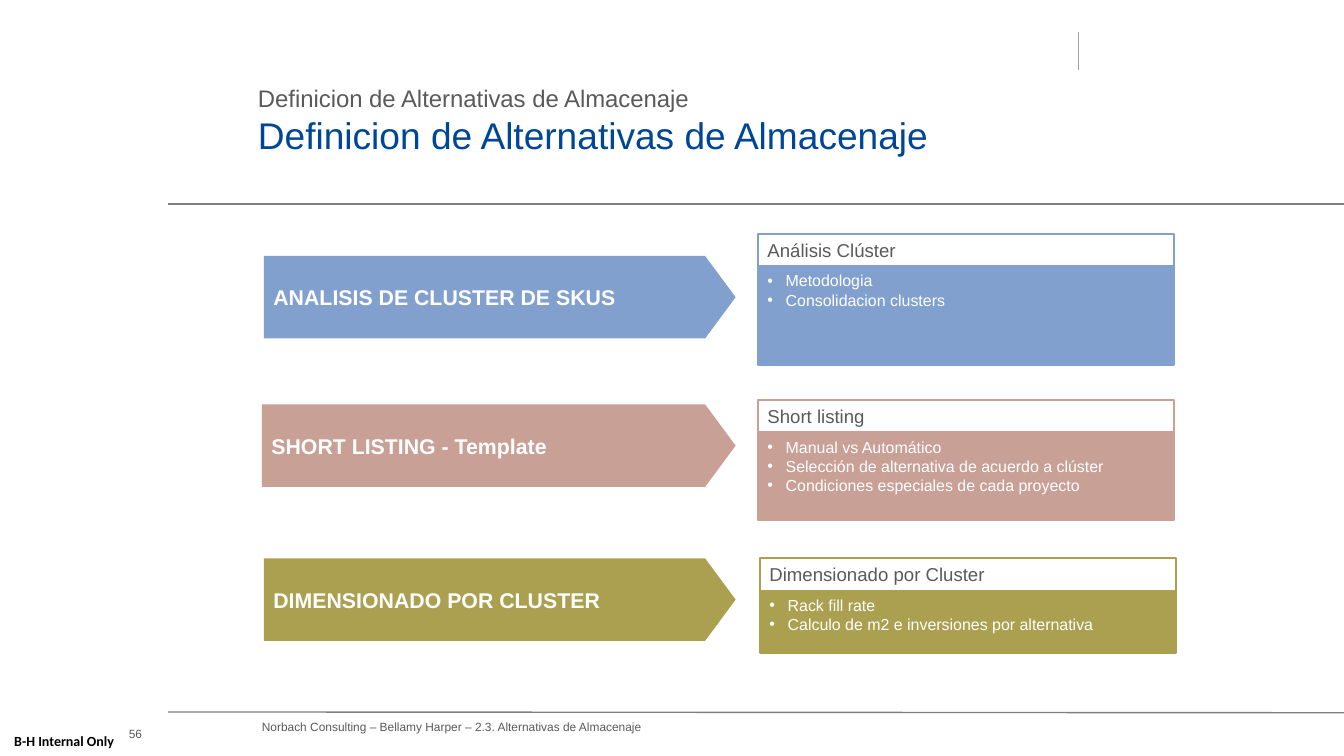
from lxml import etree
from pptx import Presentation
from pptx import util as u
from pptx.dml.color import RGBColor
from pptx.enum import shapes, text
from pptx.oxml import ns

COLORS = {
    "white": "FFFFFF",
    "black": "000000",
    "gray": "5A5A5A",
    "rule": "7F7F7F",
    "tick": "A0A0A0",
    "title": "004696",
    "blue": "82A0CD",
    "rose": "C8A096",
    "olive": "AAA050",
}

STAGES = [
    {"label": "ANALISIS DE CLUSTER DE SKUS", "color": "blue",
     "arrow": (6.65, 6.45), "card": (19.1, 5.89), "body": 2.49,
     "heading": "Análisis Clúster",
     "points": ["Metodologia", "Consolidacion clusters"]},
    {"label": "SHORT LISTING - Template", "color": "rose",
     "arrow": (6.6, 10.19), "card": (19.1, 10.08), "body": 2.21,
     "heading": "Short listing",
     "points": ["Manual vs Automático",
                "Selección de alternativa de acuerdo a clúster",
                "Condiciones especiales de cada proyecto"]},
    {"label": "DIMENSIONADO POR CLUSTER", "color": "olive",
     "arrow": (6.65, 14.07), "card": (19.15, 14.07), "body": 1.57,
     "heading": "Dimensionado por Cluster",
     "points": ["Rack fill rate",
                "Calculo de m2 e inversiones por alternativa"]},
]

ARROW_RIGHT = 18.54
ARROW_HEIGHT = 2.08
CARD_WIDTH = 10.49
HEADING_HEIGHT = 0.82


def rgb(name):
    return RGBColor.from_string(COLORS[name])


def lengths(*values):
    return [u.Cm(value) for value in values]


def set_frame(frame, anchor, side=0, top=0):
    frame.word_wrap = True
    frame.auto_size = text.MSO_AUTO_SIZE.NONE
    frame.vertical_anchor = anchor
    frame.margin_left = frame.margin_right = u.Cm(side)
    frame.margin_top = frame.margin_bottom = u.Cm(top)


def style(para, size, color, bold=False, font="Arial", align=text.PP_ALIGN.LEFT):
    para.alignment = align
    for span in para.runs:
        span.font.name = font
        span.font.size = u.Pt(size)
        span.font.bold = bold
        span.font.color.rgb = rgb(color)


def add_bullet(para):
    para.level = 1
    props = para._p.get_or_add_pPr()
    props.set("marL", str(u.Cm(0.46)))
    props.set("indent", str(-u.Cm(0.46)))
    color = etree.SubElement(props, ns.qn("a:buClr"))
    etree.SubElement(color, ns.qn("a:srgbClr"), val=COLORS["white"])
    etree.SubElement(props, ns.qn("a:buFont"), typeface="Arial")
    etree.SubElement(props, ns.qn("a:buChar"), char="•")


def add_title(page, lines):
    title = page.shapes.title
    title.left, title.top, title.width, title.height = lengths(6.5, 2.11, 23.06, 2.29)
    set_frame(title.text_frame, text.MSO_ANCHOR.TOP)
    title.text_frame.text = "\n".join(words for words, _, _ in lines)
    for para, (_, size, color) in zip(title.text_frame.paragraphs, lines):
        style(para, size, color)


def add_label(page, place, words, size, color, anchor, **look):
    box = page.shapes.add_textbox(*lengths(*place))
    set_frame(box.text_frame, anchor)
    box.text_frame.text = words
    style(box.text_frame.paragraphs[0], size, color, **look)


def add_rule(page, start, end, color):
    rule = page.shapes.add_connector(
        shapes.MSO_CONNECTOR.STRAIGHT, *lengths(*start, *end))
    rule.line.color.rgb = rgb(color)
    rule.line.width = u.Pt(1)
    etree.SubElement(rule._element.spPr, ns.qn("a:effectLst"))


def add_block(page, kind, place, fill, anchor, words, line=None):
    block = page.shapes.add_shape(kind, *lengths(*place))
    block.shadow.inherit = False
    block.fill.solid()
    block.fill.fore_color.rgb = rgb(fill)
    if line:
        block.line.color.rgb = rgb(line)
        block.line.width = u.Pt(1.5)
    else:
        block.line.fill.background()
    set_frame(block.text_frame, anchor, 0.24, 0.12)
    block.text_frame.text = words
    return block


def add_arrow(page, stage):
    left, top = stage["arrow"]
    arrow = add_block(
        page, shapes.MSO_SHAPE.PENTAGON,
        (left, top, ARROW_RIGHT - left, ARROW_HEIGHT),
        stage["color"], text.MSO_ANCHOR.MIDDLE, stage["label"])
    arrow.adjustments[0] = 0.37
    style(arrow.text_frame.paragraphs[0], 15.2, "white", bold=True)


def add_card(page, stage):
    left, top = stage["card"]
    color = stage["color"]
    body = add_block(
        page, shapes.MSO_SHAPE.RECTANGLE,
        (left, top + HEADING_HEIGHT, CARD_WIDTH, stage["body"]),
        color, text.MSO_ANCHOR.TOP, "\n".join(stage["points"]), color)
    for para in body.text_frame.paragraphs:
        add_bullet(para)
        style(para, 11.4, "white")
    heading = add_block(
        page, shapes.MSO_SHAPE.RECTANGLE,
        (left, top, CARD_WIDTH, HEADING_HEIGHT),
        "white", text.MSO_ANCHOR.TOP, stage["heading"], color)
    style(heading.text_frame.paragraphs[0], 13.3, "gray")


def main():
    deck = Presentation()
    deck.slide_width, deck.slide_height = lengths(33.87, 19.05)
    page = deck.slides.add_slide(deck.slide_layouts[5])

    add_rule(page, (4.24, 5.14), (33.87, 5.14), "rule")
    add_rule(page, (4.24, 17.94), (33.87, 17.96), "rule")
    add_rule(page, (27.18, 0.81), (27.18, 1.76), "tick")

    add_title(page, [
        ("Definicion de Alternativas de Almacenaje", 17.1, "gray"),
        ("Definicion de Alternativas de Almacenaje", 26.5, "title"),
    ])
    for stage in STAGES:
        add_arrow(page, stage)
        add_card(page, stage)

    add_label(page, (0.71, 18.33, 2.87, 0.3), "56", 8.5, "gray",
              text.MSO_ANCHOR.MIDDLE, align=text.PP_ALIGN.RIGHT)
    add_label(page, (0, 18.31, 3.23, 0.74), "B-H Internal Only", 10, "black",
              text.MSO_ANCHOR.MIDDLE, bold=True, font="Calibri",
              align=text.PP_ALIGN.CENTER)
    add_label(page, (6.6, 18.14, 19.23, 0.33),
              "Norbach Consulting – Bellamy Harper – 2.3. Alternativas de Almacenaje",
              8.5, "gray", text.MSO_ANCHOR.TOP)
    deck.save("out.pptx")


if __name__ == "__main__":
    main()
